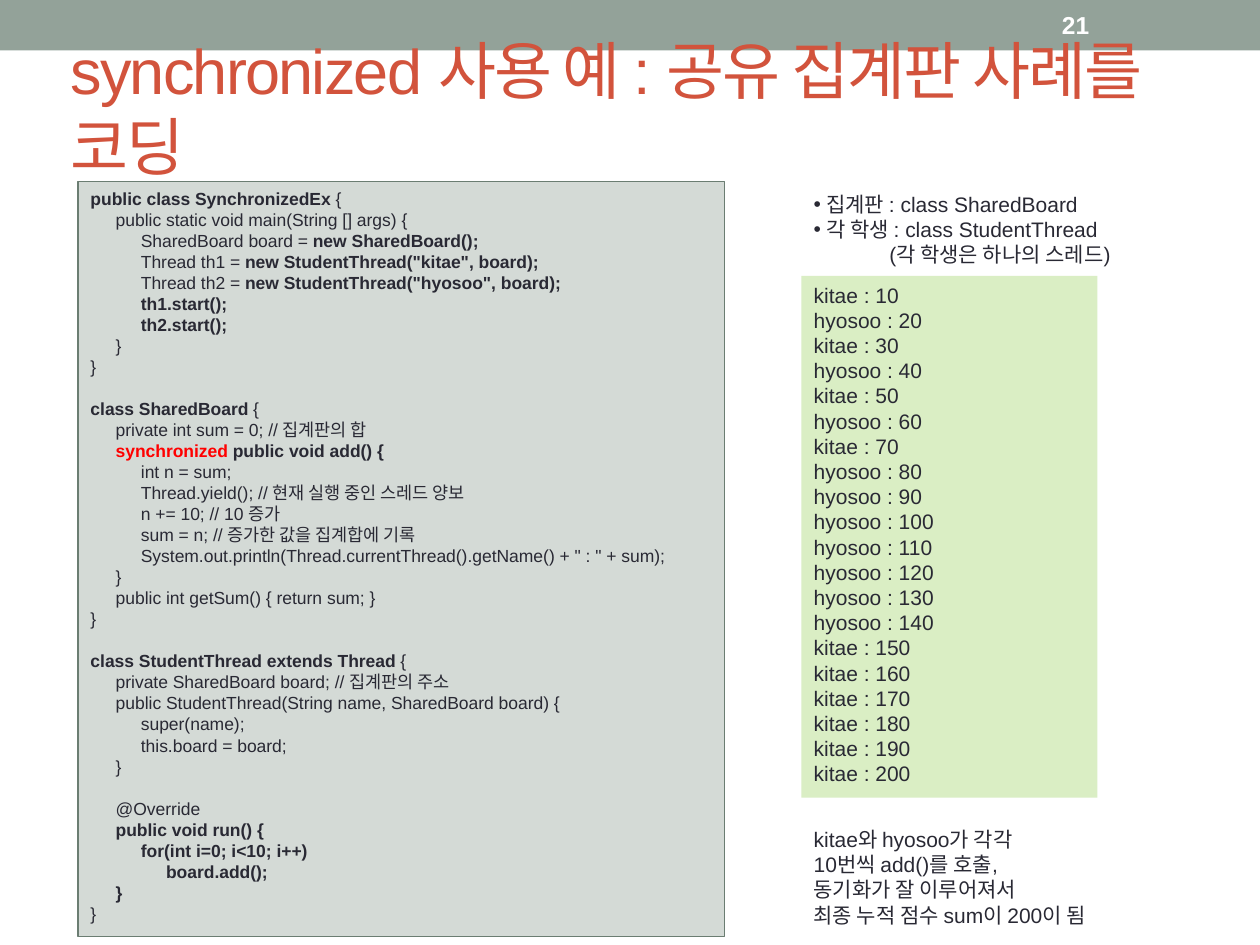
from pptx import Presentation
from pptx.dml.color import RGBColor
from pptx.enum.shapes import MSO_SHAPE
from pptx.enum.text import MSO_ANCHOR, MSO_AUTO_SIZE, PP_ALIGN
from pptx.oxml.ns import qn
from pptx.util import Inches, Pt
from lxml import etree

RECT = MSO_SHAPE.RECTANGLE
TOP, MIDDLE = MSO_ANCHOR.TOP, MSO_ANCHOR.MIDDLE
LEFT = PP_ALIGN.LEFT
GROW, FIXED = MSO_AUTO_SIZE.SHAPE_TO_FIT_TEXT, MSO_AUTO_SIZE.NONE

BAND = RGBColor(0x93, 0xA2, 0x99)
TITLE = RGBColor(0xD2, 0x53, 0x3C)
CODE_FILL = RGBColor(0xD4, 0xDA, 0xD6)
CODE_LINE = RGBColor(0x6B, 0x7D, 0x72)
OUTPUT_FILL = RGBColor(0xDA, 0xEE, 0xC4)
INK = RGBColor(0x29, 0x29, 0x34)
RED = RGBColor(0xFF, 0x00, 0x00)
WHITE = RGBColor(0xFF, 0xFF, 0xFF)

FONT = "Arial"
TAB = 0.2
SIDE_LEFT = 6.36

HEADING = "synchronized 사용 예 : 공유 집계판 사례를 코딩"
PAGE = "21"
KEYWORD = "synchronized "

# Indent level and code; asterisks switch bold on and off.
CODE = [
    (0, "*public class SynchronizedEx *{"),
    (1, "public static void main(String [] args) {"),
    (2, "SharedBoard board = *new SharedBoard();"),
    (2, 'Thread th1 = *new StudentThread("kitae", board);'),
    (2, 'Thread th2 = *new StudentThread("hyosoo", board);'),
    (2, "*th1.start();"),
    (2, "*th2.start();"),
    (1, "}"),
    (0, "}"),
    (0, ""),
    (0, "*class SharedBoard* {"),
    (1, "private int sum = 0; // 집계판의 합"),
    (1, "*" + KEYWORD + "**public void add() {"),
    (2, "int n = sum;"),
    (2, "Thread.yield(); // 현재 실행 중인 스레드 양보"),
    (2, "n += 10; // 10 증가"),
    (2, "sum = n; // 증가한 값을 집계합에 기록"),
    (2, 'System.out.println(Thread.currentThread().getName() + " : " + sum);'),
    (1, "}"),
    (1, "public int getSum() { return sum; }"),
    (0, "}"),
    (0, ""),
    (0, "*class StudentThread extends Thread *{"),
    (1, "private SharedBoard board; // 집계판의 주소"),
    (1, "public StudentThread(String name, SharedBoard board) {"),
    (2, "super(name);"),
    (2, "this.board = board;"),
    (1, "}"),
    (0, ""),
    (1, "@Override"),
    (1, "*public void run() {"),
    (2, "*for(int i=0; i<10; i++)"),
    (3, "*board.add();"),
    (1, "*}"),
    (0, "}"),
]

# Who adds ten points at each step of the run.
TURNS = ["kitae", "hyosoo"] * 4 + ["hyosoo"] * 6 + ["kitae"] * 6
OUTPUT = [f"{name} : {10 * step}" for step, name in enumerate(TURNS, 1)]

ROLES = [
    "집계판 : class SharedBoard",
    "각 학생 : class StudentThread",
    "(각 학생은 하나의 스레드)",
]
RESULT = [
    "kitae와 hyosoo가 각각",
    "10번씩 add()를 호출,",
    "동기화가 잘 이루어져서",
    "최종 누적 점수 sum이 200이 됨",
]


def add_box(slide, place, fill=None, line=None):
    left, top, width, height = map(Inches, place)
    if fill is None:
        return slide.shapes.add_textbox(left, top, width, height)
    box = slide.shapes.add_shape(RECT, left, top, width, height)
    box.shadow.inherit = False
    box.fill.solid()
    box.fill.fore_color.rgb = fill
    if line is None:
        box.line.fill.background()
    else:
        box.line.color.rgb = line
        box.line.width = Pt(0.75)
    return box


def style(font, size, color=INK, bold=False):
    font.name, font.size, font.bold = FONT, Pt(size), bold
    font.color.rgb = color


def write(box, lines, size, color=INK, bold=False, anchor=TOP, wrap=True, fit=GROW):
    frame = box.text_frame
    frame.text = "\n".join(lines)
    frame.word_wrap, frame.auto_size, frame.vertical_anchor = wrap, fit, anchor
    for paragraph in frame.paragraphs:
        paragraph.alignment = LEFT
        for run in paragraph.runs:
            style(run.font, size, color, bold)
    return frame.paragraphs


def write_code(box, code, size):
    paragraphs = write(box, [""] * len(code), size)
    for paragraph, (level, text) in zip(paragraphs, code):
        stops = etree.SubElement(paragraph._p.get_or_add_pPr(), qn("a:tabLst"))
        for stop in range(1, 4):
            etree.SubElement(stops, qn("a:tab"), pos=str(Inches(TAB * stop)), algn="l")
        if not text:
            paragraph.font.size = Pt(size)
            end = etree.SubElement(paragraph._p, qn("a:endParaRPr"))
            end.set("sz", str(size * 100))
        for part, piece in enumerate(("\t" * level + text).split("*")):
            if piece:
                run = paragraph.add_run()
                run.text = piece
                style(run.font, size, RED if piece == KEYWORD else INK, part % 2 == 1)


def indent(paragraph, margin, bullet=None):
    properties = paragraph._p.get_or_add_pPr()
    properties.set("marL", str(Inches(margin)))
    if bullet:
        properties.set("indent", str(-Inches(margin)))
        etree.SubElement(properties, qn("a:buFont"), typeface=FONT)
        etree.SubElement(properties, qn("a:buChar"), char=bullet)


def main():
    deck = Presentation()
    deck.slide_width, deck.slide_height = Inches(10), Inches(7.5)
    slide = deck.slides.add_slide(deck.slide_layouts[6])

    add_box(slide, (0, 0, 10, 0.4), BAND)

    title_box = add_box(slide, (0.46, 0.31, 9, 1.08))
    title = write(title_box, [HEADING], 36, TITLE, anchor=MIDDLE, fit=FIXED)[0]
    title.runs[0].font._element.set("spc", "-100")

    write_code(add_box(slide, (0.62, 1.44, 5.13, 5.99), CODE_FILL, CODE_LINE), CODE, 10)

    write(add_box(slide, (SIDE_LEFT, 6.51, 2.67, 0.91)), RESULT, 12, wrap=False)
    write(add_box(slide, (SIDE_LEFT, 2.19, 2.35, 4.14), OUTPUT_FILL), OUTPUT, 12)

    roles = write(add_box(slide, (SIDE_LEFT, 1.47, 2.94, 0.71)), ROLES, 12, wrap=False)
    for role in roles[:2]:
        indent(role, 0.1, "•")
    indent(roles[2], 0.6)

    page_box = add_box(slide, (8.33, 0.02, 1.17, 0.36))
    write(page_box, [PAGE], 14, WHITE, True, MIDDLE, fit=FIXED)

    deck.save("out.pptx")


if __name__ == "__main__":
    main()
